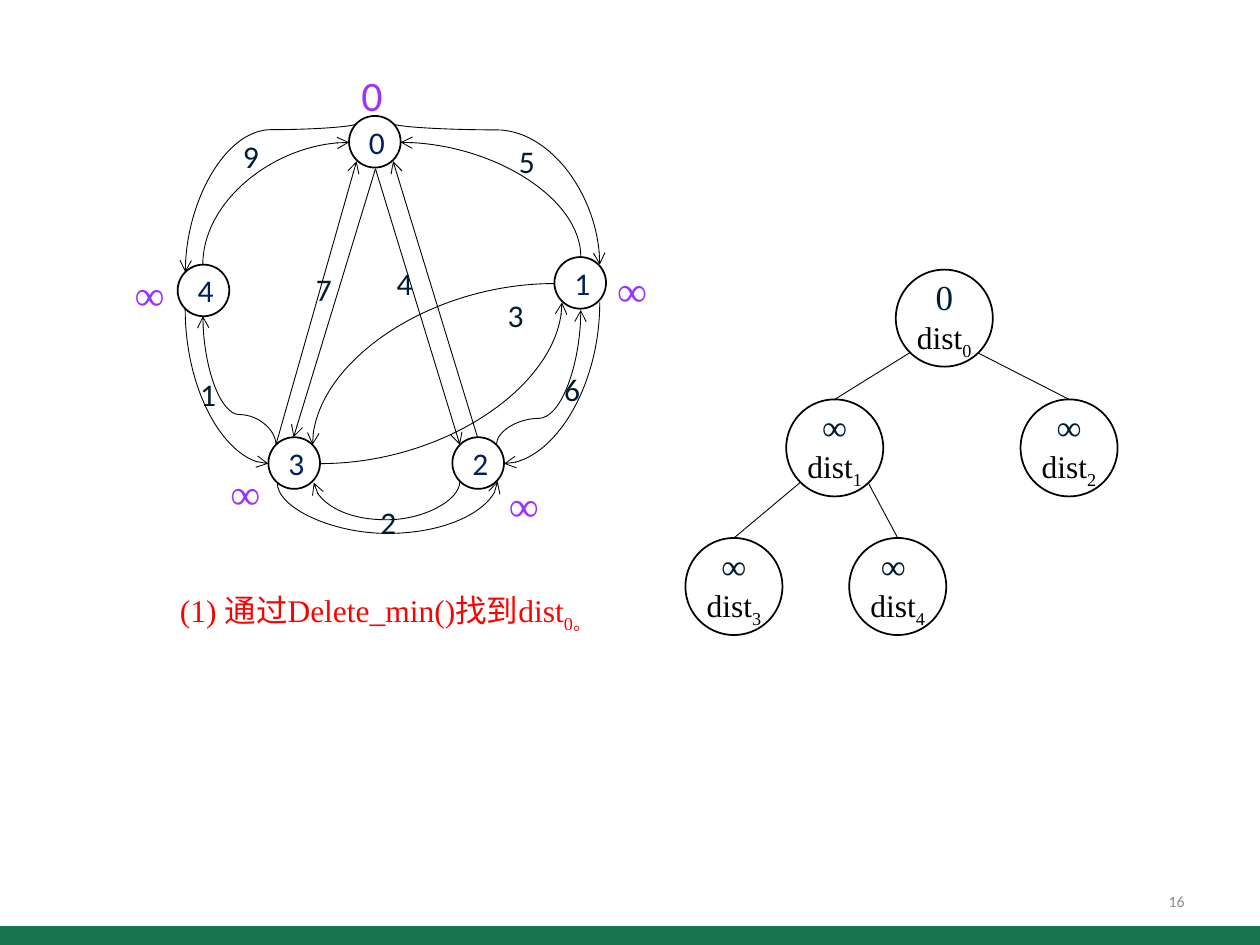
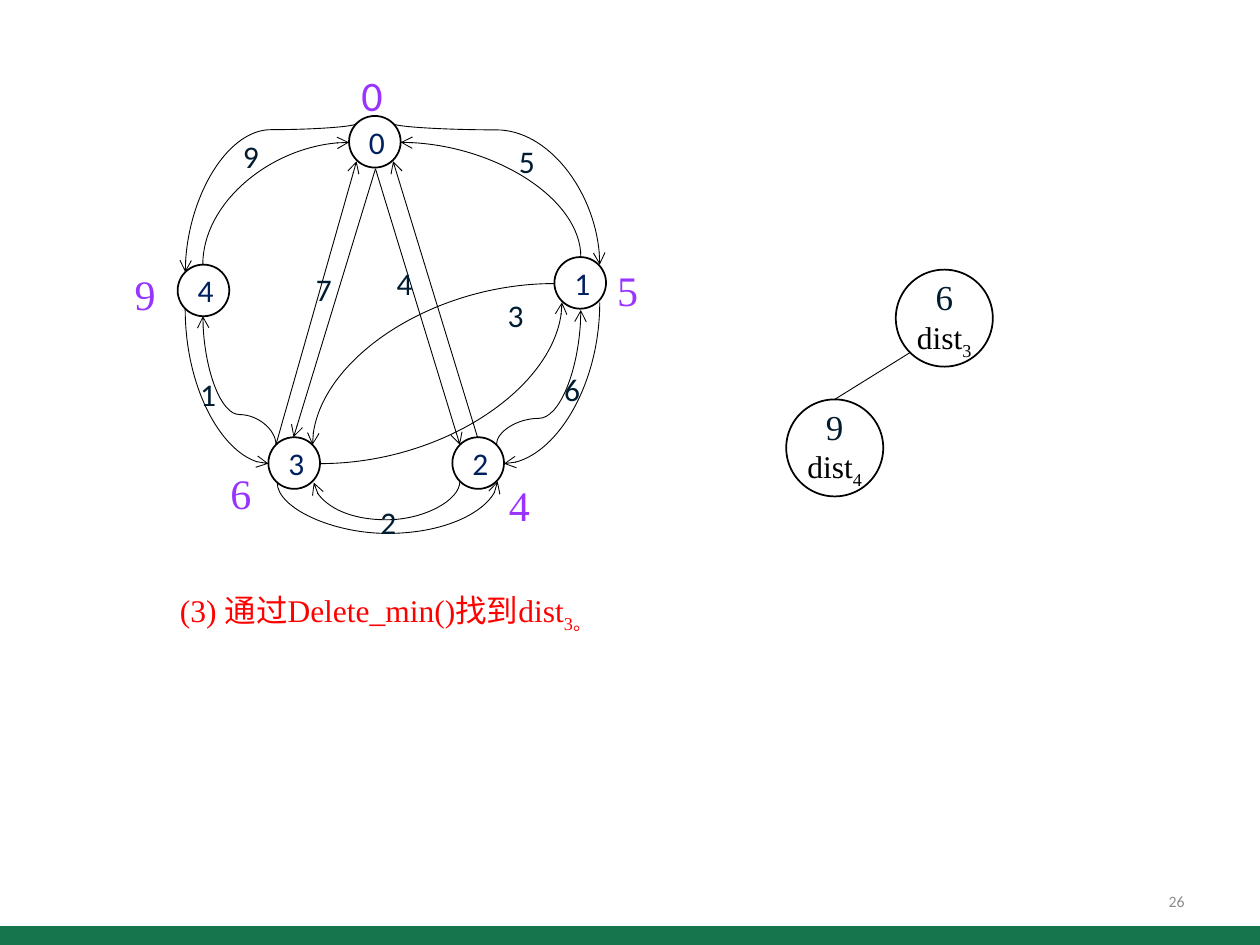
from lxml import etree
from pptx import Presentation
from pptx.dml.color import RGBColor
from pptx.enum.shapes import MSO_CONNECTOR, MSO_SHAPE
from pptx.enum.text import MSO_ANCHOR, MSO_AUTO_SIZE, PP_ALIGN
from pptx.oxml.ns import qn
from pptx.util import Pt

PX = 9144  # 100 px to the inch
SANS, SERIF = "Calibri", "Times New Roman"
BLACK = RGBColor(0x00, 0x00, 0x00)
GREEN = RGBColor(0x16, 0x75, 0x4D)
GREY = RGBColor(0x8C, 0x8C, 0x8C)
INK = RGBColor(0x00, 0x1C, 0x30)
NAVY = RGBColor(0x00, 0x20, 0x60)
PURPLE = RGBColor(0x99, 0x33, 0xFF)
RED = RGBColor(0xFF, 0x00, 0x00)
OVAL, RECT = MSO_SHAPE.OVAL, MSO_SHAPE.RECTANGLE
LINE, CURVE = MSO_CONNECTOR.STRAIGHT, MSO_CONNECTOR.CURVE
MIDDLE, CENTER, RIGHT = MSO_ANCHOR.MIDDLE, PP_ALIGN.CENTER, PP_ALIGN.RIGHT
FIT = MSO_AUTO_SIZE.SHAPE_TO_FIT_TEXT

# Graph: vertex places, weight places, edges from source to target
VERTS = [("0", 277, 92), ("4", 141, 210), ("3", 213, 347),
         ("2", 359, 347), ("1", 440, 204)]
WEIGHTS = [("9", 183, 104), ("5", 402, 108), ("4", 305, 205),
           ("7", 241, 209), ("1", 149, 293), ("2", 292, 394),
           ("3", 393, 230), ("6", 438, 289)]
STRAIGHT = [((298, 134), (365, 353)), ((298, 134), (233, 347)),
            ((219, 353), (283, 128)), ((379, 347), (312, 128))]
# S and U curves leave upright and turn at a level
TURNS = [((283, 98), (147, 216), 103), ((312, 98), (476, 210), 103),
         ((220, 383), (395, 382), 424), ((365, 382), (249, 383), 413),
         ((219, 353), (161, 251), 329), ((394, 353), (461, 246), 332)]
# Quarter curves: True when they leave sideways
ARCS = [((147, 245), (213, 368), False), ((476, 240), (400, 368), False),
        ((440, 225), (248, 353), True), ((254, 368), (446, 240), True),
        ((161, 210), (277, 113), False), ((461, 204), (318, 113), False)]
# Shortest distances, beside their vertices
DISTS = [(277, 50), (480, 205), (394, 376), (173, 366), (97, 208)]

# Heap: slots in level order
SLOTS = [(711, 214), (624, 317), (810, 317), (544, 427), (674, 427)]
NODE = 77

PAGES = [
    ("16", "1", "0", "0∞∞∞∞",
     [("0", "0"), ("∞", "1"), ("∞", "2"), ("∞", "3"), ("∞ ", "4")]),
    ("26", "3", "3", "05469", [("6", "3"), ("9", "4")]),
]


class Deck:
    def __init__(self):
        self.prs = Presentation()
        self.prs.slide_width, self.prs.slide_height = 1000 * PX, 750 * PX

    def page(self, num):
        self.slide = self.prs.slides.add_slide(self.prs.slide_layouts[6])
        self.shapes = self.slide.shapes
        band = self.shape(RECT, 0, 735, 1000, 18)
        band.fill.solid()
        band.fill.fore_color.rgb = GREEN
        band.line.fill.background()
        box = self.text(num, 717, 695, 233, 40, 9, GREY, wrap=True)
        box.text_frame.vertical_anchor = MIDDLE
        box.text_frame.paragraphs[0].alignment = RIGHT

    def shape(self, kind, x, y, w, h):
        item = self.shapes.add_shape(kind, x * PX, y * PX, w * PX, h * PX)
        item.shadow.inherit = False
        return item

    def ring(self, x, y, size):
        item = self.shape(OVAL, x, y, size, size)
        item.fill.background()
        item.line.color.rgb = BLACK
        item.line.width = Pt(1)
        item.text_frame.vertical_anchor = MIDDLE
        para = item.text_frame.paragraphs[0]
        para.alignment = CENTER
        return item, para

    def style(self, font, size, color, name=None):
        font.size, font.color.rgb = Pt(size), color
        if name:
            font.name = name

    def sub(self, para, text):
        run = para.add_run()
        run.text = text
        run.font._element.set("baseline", "-25000")
        return run

    def text(self, text, x, y, w, h, size, color, font=SANS, wrap=False):
        box = self.shapes.add_textbox(x * PX, y * PX, w * PX, h * PX)
        frame = box.text_frame
        frame.word_wrap = wrap
        if not wrap:
            frame.auto_size = FIT
        para = frame.paragraphs[0]
        para.add_run().text = text
        self.style(para.font, size, color, font)
        return box

    def vertex(self, name, x, y):
        para = self.ring(x, y, 41)[1]
        para.add_run().text = name
        self.style(para.font, 18, NAVY, SANS)

    def node(self, key, index, x, y):
        item, para = self.ring(x, y, NODE)
        frame = item.text_frame
        frame.margin_left = frame.margin_right = 0
        frame.margin_top = frame.margin_bottom = 0
        para.font.name = SERIF
        top = para.add_run()
        top.text = key
        self.style(top.font, 20, INK)
        para.add_line_break()
        label = para.add_run()
        label.text = "dist"
        for run in (label, self.sub(para, index)):
            self.style(run.font, 18, BLACK)
        return item

    def link(self, start, end, kind=LINE, tip=True):
        ends = [v * PX for v in (*start, *end)]
        wire = self.shapes.add_connector(kind, *ends)
        wire.line.color.rgb = BLACK
        wire.line.width = Pt(0.5)
        if tip:
            line = wire.line._get_or_add_ln()
            etree.SubElement(line, qn("a:tailEnd"), type="arrow")
        etree.SubElement(wire._element.spPr, qn("a:effectLst"))
        return wire

    def curve(self, start, end, level=None, side=False):
        wire = self.link(start, end, CURVE)
        dx, dy = end[0] - start[0], end[1] - start[1]
        # Turn the preset to its leaving direction; flip only across it
        if side:
            rot, cross = (0, dy) if dx > 0 else (180, -dy)
            wide, high = abs(dx), abs(dy)
        else:
            rot, cross = (90, -dx) if dy > 0 else (270, dx)
            wide, high = abs(dy), abs(dx)
        wire.left = (start[0] + end[0] - wide) * PX // 2
        wire.top = (start[1] + end[1] - high) * PX // 2
        wire.width, wire.height = wide * PX, high * PX
        props = wire._element.spPr
        frame = props.find(qn("a:xfrm"))
        frame.set("rot", str(rot * 60000))
        frame.set("flipH", "0")
        frame.set("flipV", "1" if cross < 0 else "0")
        geom = props.find(qn("a:prstGeom"))
        if level is None:
            geom.set("prst", "curvedConnector2")
        else:
            adj = round((level - start[1]) / dy * 100000)
            etree.SubElement(geom.find(qn("a:avLst")), qn("a:gd"),
                             name="adj1", fmla=f"val {adj}")

    def graph(self, dists):
        for vert in VERTS:
            self.vertex(*vert)
        for start, end in STRAIGHT:
            self.link(start, end)
        for start, end, level in TURNS:
            self.curve(start, end, level)
        for start, end, side in ARCS:
            self.curve(start, end, side=side)
        for text, x, y in WEIGHTS:
            self.text(text, x, y, 34, 40, 18, INK)
        for i, (value, (x, y)) in enumerate(zip(dists, DISTS)):
            wide = 44 if value == "∞" else 37 if i else 39
            self.text(value, x, y, wide, 50, 24, PURPLE,
                      SERIF if i else SANS)

    def heap(self, items):
        for i, ((key, index), (x, y)) in enumerate(zip(items, SLOTS)):
            item = self.node(key, index, x, y)
            if i:
                px, py = SLOTS[(i - 1) // 2]
                start = (px + (11 if i % 2 else 65), py + 66)
                wire = self.link(start, (x + NODE // 2, y), tip=False)
                wire.end_connect(item, 0)

    def note(self, step, index):
        box = self.text(f"({step}) 通过Delete_min()找到dist",
                        133, 464, 398, 40, 18, RED, SERIF, wrap=True)
        self.sub(box.text_frame.paragraphs[0], index + "。")


def main():
    deck = Deck()
    for num, step, index, dists, items in PAGES:
        deck.page(num)
        deck.graph(dists)
        deck.heap(items)
        deck.note(step, index)
    deck.prs.save("out.pptx")


if __name__ == "__main__":
    main()
